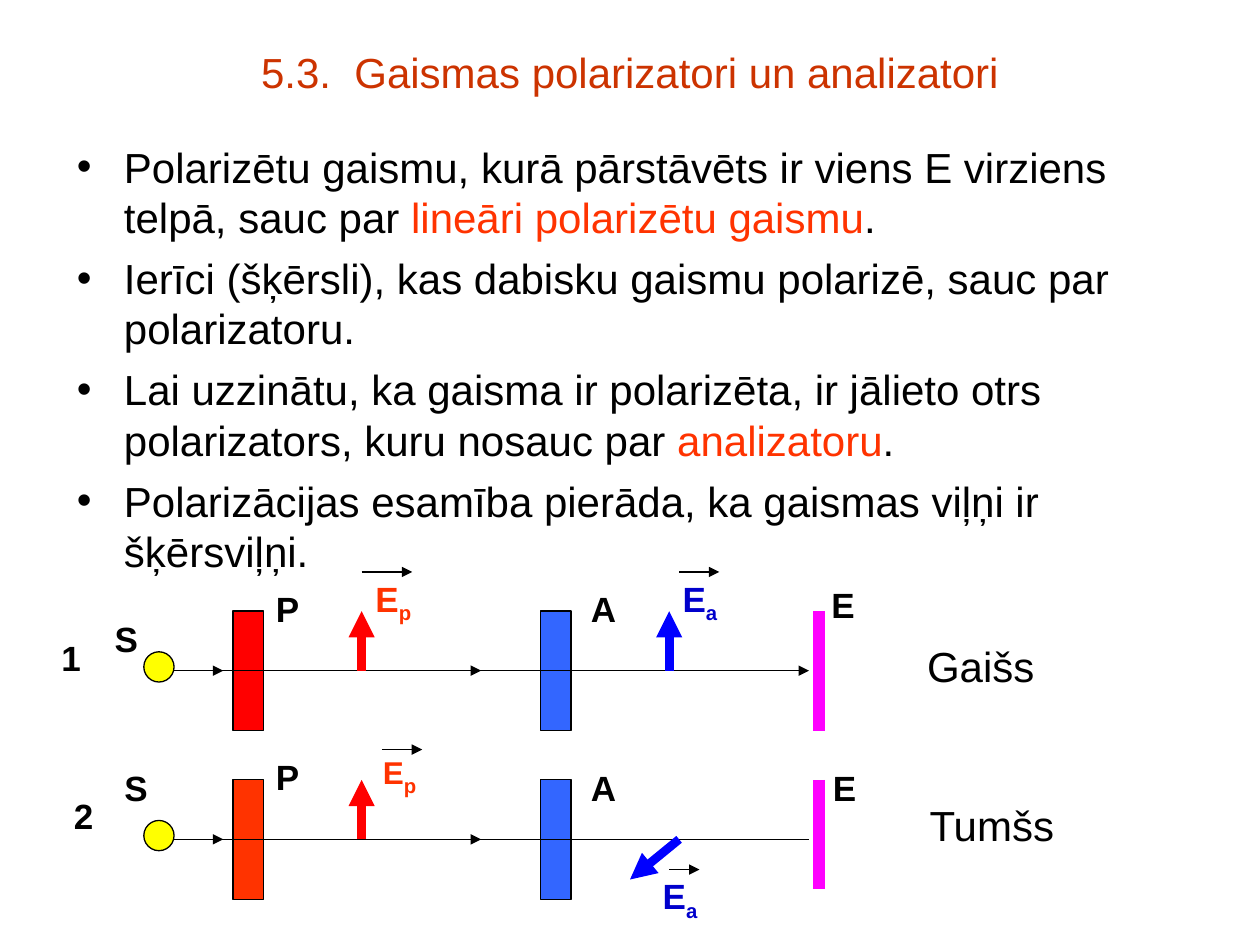
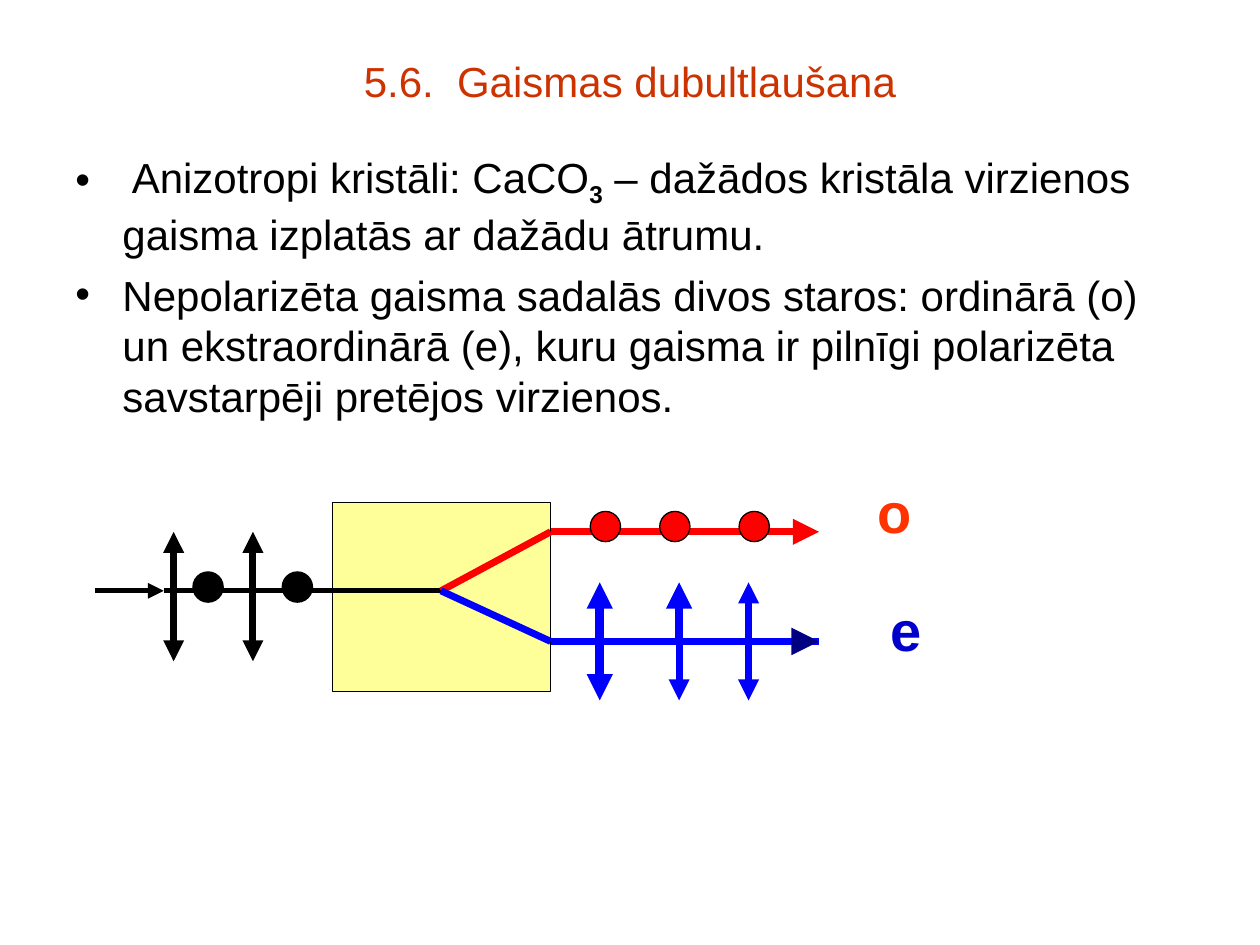
from dataclasses import dataclass

from lxml import etree
from pptx import Presentation
from pptx.dml.color import RGBColor
from pptx.enum.shapes import MSO_CONNECTOR, MSO_SHAPE
from pptx.enum.text import MSO_ANCHOR, MSO_AUTO_SIZE, PP_ALIGN
from pptx.oxml.ns import qn
from pptx.util import Cm, Pt


@dataclass(frozen=True)
class Theme:
    font: str = "Arial"
    title_size: int = 24
    body_size: int = 24
    label_size: int = 20
    small_label_size: int = 18
    beam_size: int = 32
    thin: float = 0.75
    black: str = "000000"
    title: str = "CC3300"
    accent: str = "FF3300"
    navy_text: str = "0000CC"
    navy: str = "000080"
    red: str = "FF0000"
    blue: str = "0000FF"
    plate_blue: str = "3366FF"
    yellow: str = "FFFF00"
    crystal: str = "FFFF99"
    magenta: str = "FF00FF"


T = Theme()
DOT = 0.61
FIELD_WIDTH = 1.4
BULLET_INDENT = 0.95


@dataclass(frozen=True)
class Run:
    text: str
    color: str = T.black
    bold: bool = False
    sub: bool = False
    size: int = 0


def rgb(code):
    return RGBColor.from_string(code)


def add_runs(p, runs, size):
    """Add runs; a run without its own size takes the given one."""
    for run in runs:
        r = p.add_run()
        r.text = run.text
        r.font.name = T.font
        r.font.size = Pt(run.size or size)
        r.font.bold = run.bold
        r.font.color.rgb = rgb(run.color)
        if run.sub:
            r._r.get_or_add_rPr().set("baseline", "-25000")


def add_box(s, x, y, w, h):
    tf = s.shapes.add_textbox(Cm(x), Cm(y), Cm(w), Cm(h)).text_frame
    tf.word_wrap = True
    return tf


def add_title(s, text, height):
    tf = add_box(s, 1.27, 0.76, 22.86, height)
    tf.vertical_anchor = MSO_ANCHOR.MIDDLE
    p = tf.paragraphs[0]
    p.alignment = PP_ALIGN.CENTER
    add_runs(p, [Run(text, T.title)], T.title_size)


def add_bullets(s, x, y, w, h, items):
    tf = add_box(s, x, y, w, h)
    for i, runs in enumerate(items):
        p = tf.add_paragraph() if i else tf.paragraphs[0]
        pPr = p._p.get_or_add_pPr()
        pPr.set("marL", str(Cm(BULLET_INDENT)))
        pPr.set("indent", str(-Cm(BULLET_INDENT)))
        etree.SubElement(pPr, qn("a:buFont")).set("typeface", T.font)
        etree.SubElement(pPr, qn("a:buChar")).set("char", "•")
        if i:
            p.space_before = Pt(6)
        add_runs(p, runs, T.body_size)


def add_label(s, x, y, w, *runs, size=T.label_size):
    """Add one unwrapped line of text whose box fits the type size."""
    tf = add_box(s, x, y, w, 0.25 + size * 0.043)
    tf.word_wrap = False
    tf.auto_size = MSO_AUTO_SIZE.SHAPE_TO_FIT_TEXT
    add_runs(tf.paragraphs[0], runs, size)


def add_filled(s, kind, x, y, w, h, color):
    sp = s.shapes.add_shape(kind, Cm(x), Cm(y), Cm(w), Cm(h))
    sp.shadow.inherit = False
    sp.fill.solid()
    sp.fill.fore_color.rgb = rgb(color)
    sp.line.color.rgb = rgb(T.black)
    sp.line.width = Pt(T.thin)


def add_dot(s, x, y, color):
    add_filled(s, MSO_SHAPE.OVAL, x, y, DOT, DOT, color)


def add_line(s, start, end, color=T.black, width=T.thin, arrow=False):
    c = s.shapes.add_connector(MSO_CONNECTOR.STRAIGHT,
                               *(Cm(v) for v in (*start, *end)))
    c.line.color.rgb = rgb(color)
    c.line.width = Pt(width)
    if arrow:
        ln = c.line._get_or_add_ln()
        etree.SubElement(ln, qn("a:tailEnd")).set("type", "triangle")
    etree.SubElement(c._element.spPr, qn("a:effectLst"))


def add_arrow(s, start, end, color=T.black, width=T.thin):
    add_line(s, start, end, color, width, arrow=True)


def add_field_label(s, x, y, letter, color, bar, size=T.label_size):
    """Add E with a subscript, and its vector bar given as (left, right, y)."""
    left, right, bar_y = bar
    add_label(s, x, y, FIELD_WIDTH, Run("E", color, True, size=size),
              Run(letter, color, True, True))
    add_arrow(s, (left, bar_y), (right, bar_y))


def add_bench(s, axis, polarizer, screen_bottom, reaches_screen):
    """Draw lamp, polarizer, analyzer, screen and ray along one axis."""
    top = axis - 1.2
    for x, color in ((4.7, polarizer), (10.9, T.plate_blue)):
        add_filled(s, MSO_SHAPE.RECTANGLE, x, top, DOT, 2.41, color)
    add_line(s, (16.51, top), (16.51, screen_bottom), T.magenta, 7)
    add_line(s, (3.5, axis), (16.31, axis), arrow=reaches_screen)
    for left, right in ((3.89, 4.5), (8.8, 9.7)):
        add_arrow(s, (left, axis), (right, axis))
    add_dot(s, 2.9, axis - 0.38, T.yellow)
    add_arrow(s, (7.29, axis), (7.29, top), T.red, 5)


def add_oscillation(s, x, axis, up, down, color, up_width, down_width):
    add_arrow(s, (x, axis), (x, axis + down), color, down_width)
    add_arrow(s, (x, axis), (x, axis - up), color, up_width)


def build_polarizers(s):
    add_title(s, "5.3.  Gaismas polarizatori un analizatori", 1.37)
    add_bullets(s, 1.3, 2.72, 23.39, 15.39, [
        [Run("Polarizētu gaismu, kurā pārstāvēts ir viens E virziens telpā, sauc par "),
         Run("lineāri polarizētu gaismu", T.accent), Run(".")],
        [Run("Ierīci (šķērsli), kas dabisku gaismu polarizē, sauc par polarizatoru.")],
        [Run("Lai uzzinātu, ka gaisma ir polarizēta, ir jālieto otrs polarizators, "
             "kuru nosauc par "),
         Run("analizatoru", T.accent), Run(".")],
        [Run("Polarizācijas esamība pierāda, ka gaismas viļņi ir šķērsviļņi.")],
    ])

    bright, dark = 13.52, 16.92
    add_bench(s, bright, T.red, 14.73, True)
    add_bench(s, dark, T.accent, 17.93, False)
    add_arrow(s, (13.49, bright), (13.49, bright - 1.2), T.blue, 5)
    add_arrow(s, (13.69, dark), (12.7, 17.73), T.blue, 5)

    for text, w, *spots in (
        ("S", 0.97, (2.06, 12.32), (2.26, 15.32)),
        ("P", 0.97, (5.31, 11.71), (5.31, 15.11)),
        ("A", 1.02, (11.66, 11.71), (11.66, 15.32)),
        ("E", 0.97, (16.51, 11.63), (16.54, 15.32)),
        ("1", 0.89, (0.99, 12.7)),
        ("2", 0.89, (1.24, 15.9)),
    ):
        for x, y in spots:
            add_label(s, x, y, w, Run(text, bold=True))

    add_field_label(s, 7.32, 11.51, "p", T.accent, (7.29, 8.31, 11.53))
    add_field_label(s, 7.47, 14.99, "p", T.accent, (7.7, 8.51, 15.11),
                    T.small_label_size)
    add_field_label(s, 13.51, 11.51, "a", T.navy_text, (13.69, 14.5, 11.53))
    add_field_label(s, 13.11, 17.5, "a", T.navy_text, (13.49, 14.1, 17.53))

    add_label(s, 18.44, 12.78, 2.67, Run("Gaišs"), size=T.body_size)
    add_label(s, 18.49, 16, 3.05, Run("Tumšs"), size=T.body_size)


def build_birefringence(s):
    add_title(s, "5.6.  Gaismas dubultlaušana", 1.75)
    add_bullets(s, 1.27, 2.92, 22.86, 14.1, [
        [Run(" Anizotropi kristāli: CaCO"), Run("3", bold=True, sub=True),
         Run(" – dažādos kristāla virzienos gaisma izplatās ar dažādu ātrumu.")],
        [Run("Nepolarizēta gaisma sadalās divos staros: ordinārā (o) un "
             "ekstraordinārā (e), kuru gaisma ir pilnīgi polarizēta "
             "savstarpēji pretējos virzienos.")],
    ])

    axis, o_axis, e_axis = 11.91, 10.72, 12.93
    entry, split = (3.3, axis), (8.89, axis)
    add_filled(s, MSO_SHAPE.RECTANGLE, 6.71, 10.13, 4.39, 3.81, T.crystal)
    add_line(s, entry, split, width=3)
    add_arrow(s, (1.91, axis), entry, width=3)
    for y, color, end, tip_color, tip_width in (
        (o_axis, T.red, 16.31, T.red, 5),
        (e_axis, T.blue, 16.51, T.navy, 5.25),
    ):
        add_line(s, split, (11.1, y), color, 4)
        add_line(s, (11.1, y), (end, y), color, 4)
        add_arrow(s, (16.1, y), (16.51, y), tip_color, tip_width)

    for x, up_width, down_width in ((12.09, 5, 5), (13.69, 5, 4), (15.09, 4, 4)):
        add_oscillation(s, x, e_axis, 1.19, 1.19, T.blue, up_width, down_width)
    for x in (3.5, 5.1):
        add_oscillation(s, x, axis, 1.19, 1.42, T.black, 4, 4)
    for x in (11.9, 13.3, 14.9):
        add_dot(s, x, 10.31, T.red)
    for x in (3.89, 5.69):
        add_dot(s, x, 11.53, T.black)

    add_label(s, 17.45, 9.5, 1.19, Run("o", T.accent, True), size=T.beam_size)
    add_label(s, 17.7, 11.89, 1.14, Run("e", T.navy_text, True), size=T.beam_size)


def main():
    prs = Presentation()
    prs.slide_width, prs.slide_height = Cm(25.4), Cm(19.05)
    blank = prs.slide_layouts[6]
    for build in (build_polarizers, build_birefringence):
        build(prs.slides.add_slide(blank))
    prs.save("out.pptx")


if __name__ == "__main__":
    main()
